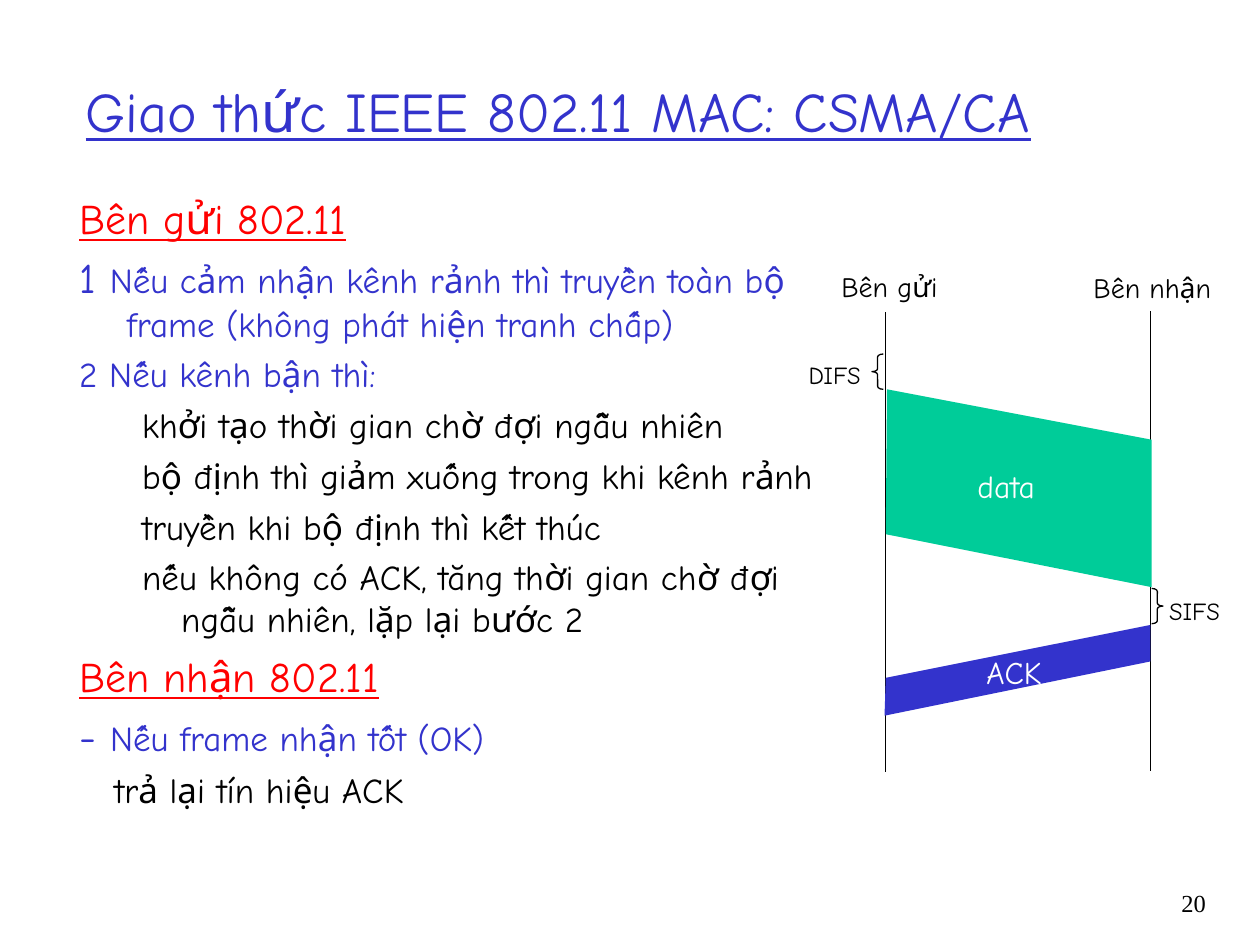
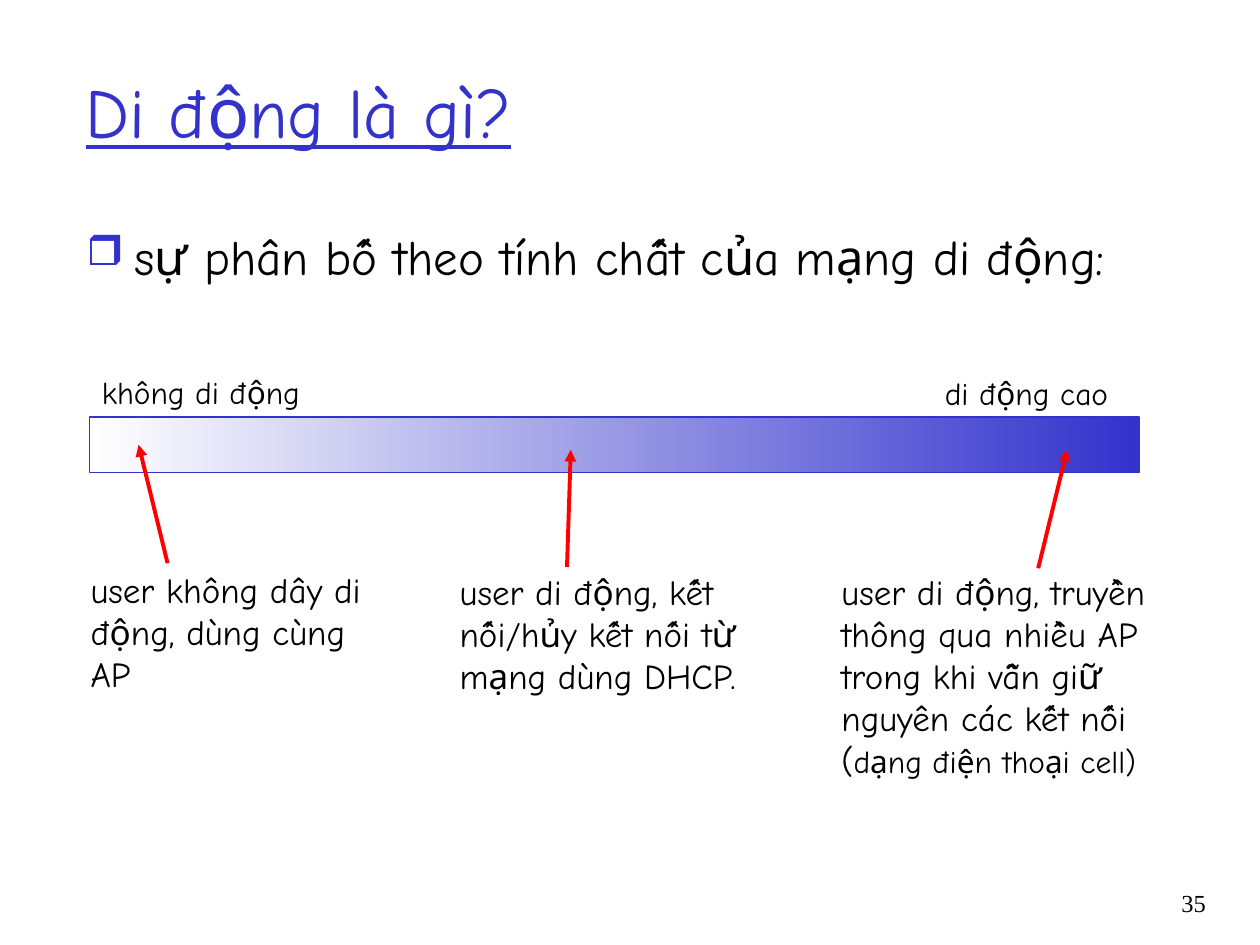
from lxml import etree
from pptx import Presentation
from pptx.dml.color import RGBColor
from pptx.enum.shapes import MSO_CONNECTOR, MSO_SHAPE as Shape
from pptx.enum.text import MSO_ANCHOR as Anchor, MSO_AUTO_SIZE as AutoSize, PP_ALIGN as Align
from pptx.oxml.ns import qn
from pptx.util import Inches, Pt

BLUE = RGBColor(0x33, 0x33, 0xCC)
RED = RGBColor(0xFF, 0x00, 0x00)
GREEN = RGBColor(0x00, 0xCC, 0x99)
BLACK = RGBColor(0x00, 0x00, 0x00)
WHITE = RGBColor(0xFF, 0xFF, 0xFF)
BODY_FONT, NUMBER_FONT = "Comic Neue", "Times New Roman"

# Paragraph styles: colour, space before, left margin, first-line indent, underline
STYLES = {
    "heading": (RED, 6, 0.38, -0.38, True),
    "step": (BLUE, 5, 0.38, -0.38, False),
    "detail": (BLACK, 5, 0.81, -0.31, False),
    "reply": (BLACK, 5, 0.28, 0, False),
}

# Each entry: style, then (text, size) spans
PROTOCOL = [
    ("heading", [("Bên gửi 802.11", 24)]),
    ("step", [("1 ", 24),
              ("Nếu cảm nhận kênh rảnh thì truyền toàn bộ frame (không phát hiện tranh chấp)", 20)]),
    ("step", [("2 Nếu kênh bận thì:", 20)]),
    ("detail", [("khởi tạo thời gian chờ đợi ngẫu nhiên", 20)]),
    ("detail", [("bộ định thì giảm xuống trong khi kênh rảnh", 20)]),
    ("detail", [("truyền khi bộ định thì kết thúc", 20)]),
    ("detail", [("nếu không có ACK, tăng thời gian chờ đợi ngẫu nhiên, lặp lại bước 2", 20)]),
    ("heading", [("Bên nhận 802.11", 24)]),
    ("step", [("- ", 24), ("Nếu frame nhận tốt (OK)", 20)]),
    ("reply", [("trả lại tín hiệu ACK", 20)]),
]

# Timing diagram: timelines (x, top), frames, braces and labels
TIMELINES = [(7.03, 2.48), (9.13, 2.47)]
TIMELINE_LENGTH = 3.65
FRAMES = [
    (GREEN, [(7.04, 3.09), (9.14, 3.49), (9.14, 4.66), (7.03, 4.24)]),
    (BLUE, [(7.02, 5.68), (9.13, 5.25), (9.13, 4.96), (7.03, 5.38)]),
]
BRACES = [(Shape.LEFT_BRACE, 6.92, 2.81), (Shape.RIGHT_BRACE, 9.14, 4.67)]
TIMING_LABELS = [
    ("Bên gửi", (6.58, 2.09, 1.03, 0.37), 16, BLACK),
    ("Bên nhận", (8.58, 2.1, 1.21, 0.37), 16, BLACK),
    ("DIFS", (6.32, 2.81, 0.62, 0.34), 14, BLACK),
    ("data", (7.66, 3.66, 0.66, 0.4), 18, WHITE),
    ("SIFS", (9.18, 4.68, 0.62, 0.34), 14, BLACK),
    ("ACK", (7.73, 5.13, 0.64, 0.4), 18, WHITE),
]

# Mobility scale: end labels, user descriptions and arrows
MOBILITY_QUESTION = "sự phân bố theo tính chất của mạng di động:"
SCALE_LABELS = [
    ("không di động", (0.71, 2.91, 1.77, 0.4)),
    ("di động cao", (7.4, 2.92, 1.52, 0.4)),
]
USERS = [
    ((0.62, 4.46, 2.52, 1.1), [("user không dây di động, dùng cùng AP", 20)]),
    ((3.55, 4.48, 2.66, 1.1), [("user di động, kết nối/hủy kết nối từ mạng dùng DHCP.", 20)]),
    ((6.58, 4.48, 2.94, 1.77),
     [("user di động, truyền thông qua nhiều AP trong khi vẫn giữ nguyên các kết nối (", 20),
      ("dạng điện thoại cell)", 18)]),
]
ARROWS = [((1.33, 4.47), (1.1, 3.53)), ((4.5, 4.5), (4.53, 3.57)), ((8.24, 4.51), (8.47, 3.57))]


def inches(values):
    return [Inches(value) for value in values]


def style_font(font, size, color, name=BODY_FONT, underline=None):
    font.name, font.underline = name, underline
    font.color.rgb = color
    if size:
        font.size = Pt(size)


def write(para, spans, color, name=BODY_FONT, underline=None):
    """Fill a paragraph; the size sits on the runs only where it varies."""
    sizes = [size for _, size in spans]
    shared = sizes[0] if len(set(sizes)) == 1 else None
    style_font(para.font, shared, color, name, underline)
    for text, size in spans:
        span = para.add_run()
        span.text = text
        if not shared:
            span.font.size = Pt(size)


def indent(para, space_before, margin, first_line):
    para.space_before = Pt(space_before)
    properties = para._p.get_or_add_pPr()
    properties.set("marL", str(Inches(margin)))
    properties.set("indent", str(Inches(first_line)))
    return properties


def add_box(slide, area):
    frame = slide.shapes.add_textbox(*inches(area)).text_frame
    frame.word_wrap = True
    return frame


def add_label(slide, text, area, size, color=BLACK):
    """Add a one-line label whose box grows with its text."""
    frame = add_box(slide, area)
    frame.word_wrap, frame.auto_size = False, AutoSize.SHAPE_TO_FIT_TEXT
    write(frame.paragraphs[0], [(text, size)], color)


def add_line(slide, start, end, color, width, arrow=False):
    line = slide.shapes.add_connector(MSO_CONNECTOR.STRAIGHT, *inches(start + end))
    line.line.color.rgb = color
    line.line.width = Pt(width)
    if arrow:
        etree.SubElement(line.line._get_or_add_ln(), qn("a:tailEnd"), type="triangle")
    etree.SubElement(line._element.spPr, qn("a:effectLst"))


def add_slide(deck, title, title_size, number):
    """Add a slide with the shared title style and page number."""
    slide = deck.slides.add_slide(deck.slide_layouts[5])
    heading = slide.shapes.title
    heading.left, heading.top, heading.width, heading.height = inches((0.58, 0.25, 8.5, 1.25))
    frame = heading.text_frame
    frame.auto_size, frame.vertical_anchor = AutoSize.NONE, Anchor.MIDDLE
    para = frame.paragraphs[0]
    para.alignment = Align.LEFT
    write(para, [(title, title_size)], BLUE, underline=True)

    page = add_box(slide, (8.93, 7, 0.74, 0.5)).paragraphs[0]
    page.alignment = Align.RIGHT
    write(page, [(number, 14)], BLACK, NUMBER_FONT)
    return slide


def build_protocol(deck):
    slide = add_slide(deck, "Giao thức IEEE 802.11 MAC: CSMA/CA", 32, "20")

    # Sender and receiver rules
    frame = add_box(slide, (0.53, 1.48, 6.16, 5.42))
    for index, (style, spans) in enumerate(PROTOCOL):
        para = frame.add_paragraph() if index else frame.paragraphs[0]
        color, space_before, margin, first_line, underline = STYLES[style]
        indent(para, space_before, margin, first_line)
        write(para, spans, color, underline=underline)

    # Timing diagram
    for x, top in TIMELINES:
        add_line(slide, (x, top), (x, top + TIMELINE_LENGTH), BLACK, 0.75)
    for color, corners in FRAMES:
        points = [inches(corner) for corner in corners]
        builder = slide.shapes.build_freeform(*points[0])
        builder.add_line_segments(points[1:], close=True)
        band = builder.convert_to_shape()
        band.shadow.inherit = False
        band.fill.solid()
        band.fill.fore_color.rgb = color
        band.line.fill.background()
    for kind, left, top in BRACES:
        brace = slide.shapes.add_shape(kind, *inches((left, top, 0.09, 0.28)))
        brace.shadow.inherit = False
        brace.adjustments[0] = 0.26
        brace.fill.background()
        brace.line.color.rgb = BLACK
        brace.line.width = Pt(0.75)
    for label in TIMING_LABELS:
        add_label(slide, *label)


def build_mobility(deck):
    slide = add_slide(deck, "Di động là gì?", 40, "35")

    # Bulleted question
    para = add_box(slide, (0.59, 1.75, 8.97, 0.63)).paragraphs[0]
    properties = indent(para, 7, 0.38, -0.38)
    bullet_color = etree.SubElement(properties, qn("a:buClr"))
    etree.SubElement(bullet_color, qn("a:srgbClr"), val=str(BLUE))
    etree.SubElement(properties, qn("a:buSzPct"), val="85000")
    etree.SubElement(properties, qn("a:buChar"), char="❒")
    write(para, [(MOBILITY_QUESTION, 28)], BLACK)

    # Gradient scale
    scale = slide.shapes.add_shape(Shape.RECTANGLE, *inches((0.71, 3.31, 8.33, 0.44)))
    scale.shadow.inherit = False
    scale.fill.gradient()
    scale.fill.gradient_angle = 0
    for stop, color in zip(scale.fill.gradient_stops, (WHITE, BLUE)):
        stop.color.rgb = color
    scale.line.color.rgb = BLUE
    scale.line.width = Pt(0.75)
    for text, area in SCALE_LABELS:
        add_label(slide, text, area, 18)

    # Users along the scale
    for area, spans in USERS:
        write(add_box(slide, area).paragraphs[0], spans, BLACK)
    for start, end in ARROWS:
        add_line(slide, start, end, RED, 2.25, arrow=True)


def main():
    deck = Presentation()
    deck.slide_width, deck.slide_height = Inches(10), Inches(7.5)
    build_protocol(deck)
    build_mobility(deck)
    deck.save("out.pptx")


if __name__ == "__main__":
    main()
